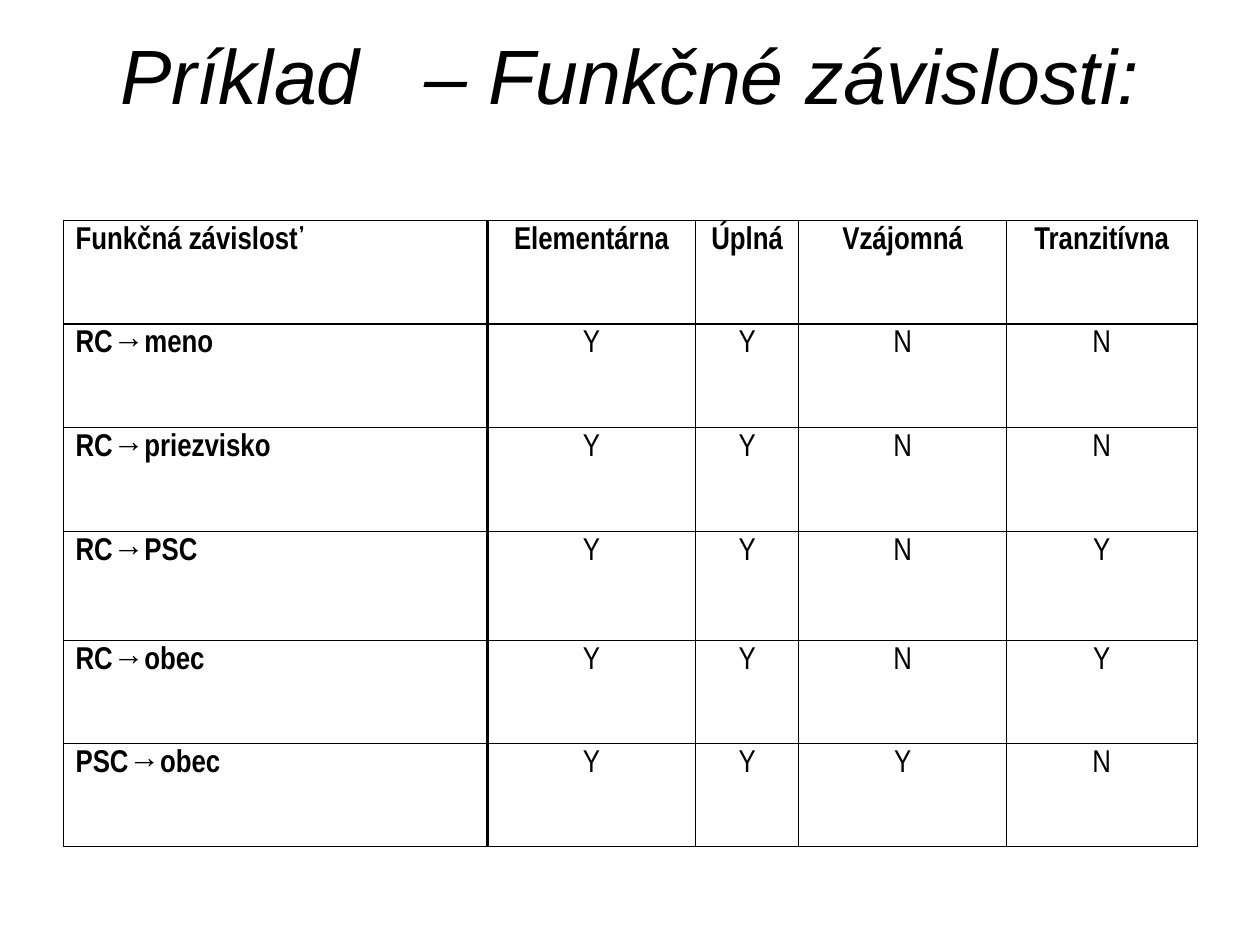
from typing import NamedTuple

import pptx
import pptx.dml.color
import pptx.enum.text
import pptx.oxml.ns
import pptx.util
from lxml import etree

Inches = pptx.util.Inches
Pt = pptx.util.Pt
Align = pptx.enum.text.PP_ALIGN
BLACK = pptx.dml.color.RGBColor(0, 0, 0)
WHITE = pptx.dml.color.RGBColor(255, 255, 255)
THIN, THICK = Pt(0.45), Pt(1.47)


class Row(NamedTuple):
    name: str
    marks: list[str]
    height: float = 0.82


HEAD = Row("Funkčná závislosť", ["Elementárna", "Úplná", "Vzájomná", "Tranzitívna"])
ROWS = [
    HEAD,
    Row("RC→meno", list("YYNN")),
    Row("RC→priezvisko", list("YYNN"), 0.83),
    Row("RC→PSC", list("YYNY"), 0.86),
    Row("RC→obec", list("YYNY")),
    Row("PSC→obec", list("YYYN")),
]
WIDTHS = [3.37, 1.65, 0.82, 1.65, 1.51]


def add_run(para, text: str, face: str, size: float, bold=False, italic=False):
    run = para.add_run()
    run.text = text
    font = run.font
    font.name, font.size = face, Pt(size)
    font.bold, font.italic = bold, italic
    font.color.rgb = BLACK
    return run


def add_edge(cell, side: str, width: int) -> None:
    qn = pptx.oxml.ns.qn
    props = cell._tc.get_or_add_tcPr()
    line = etree.SubElement(props, qn(f"a:ln{side}"), w=str(int(width)))
    fill = etree.SubElement(line, qn("a:solidFill"))
    etree.SubElement(fill, qn("a:srgbClr"), val=str(BLACK))


def fill_cell(cell, text: str, row: int, col: int) -> None:
    # Thick rules part the header row and the name column from the marks
    edges = {"L": col == 1, "R": col == 0, "T": row == 1, "B": row == 0}
    for side, heavy in edges.items():
        add_edge(cell, side, THICK if heavy else THIN)
    cell.fill.background()
    cell.margin_left = cell.margin_right = Inches(0.1)
    cell.margin_top = cell.margin_bottom = Inches(0.05)
    para = cell.text_frame.paragraphs[0]
    para.alignment = Align.CENTER if col else Align.LEFT
    add_run(para, text, "Arial Narrow", 18, bold=row == 0 or col == 0)


def add_title(slide) -> None:
    box = slide.shapes.add_textbox(Inches(0.5), Inches(0.22), Inches(9), Inches(1.25))
    frame = box.text_frame
    frame.word_wrap = True
    frame.vertical_anchor = pptx.enum.text.MSO_ANCHOR.TOP
    frame.margin_top = frame.margin_bottom = 0
    para = frame.paragraphs[0]
    para.alignment = Align.CENTER
    add_run(para, "Príklad", "Arial", 44, italic=True)
    # One space, widened by letter spacing (hundredths of a point)
    gap = add_run(para, " ", "Arial", 44, italic=True)
    gap.font._element.set("spc", "2450")
    add_run(para, "– Funkčné závislosti:", "Arial", 44, italic=True)


def add_grid(slide) -> None:
    high = sum(row.height for row in ROWS)
    frame = slide.shapes.add_table(
        len(ROWS), len(WIDTHS), Inches(0.5), Inches(1.75),
        Inches(sum(WIDTHS)), Inches(high))
    table = frame.table
    table.horz_banding = False
    for col, width in enumerate(WIDTHS):
        table.columns[col].width = Inches(width)
    for num, row in enumerate(ROWS):
        table.rows[num].height = Inches(row.height)
        for col, text in enumerate([row.name, *row.marks]):
            fill_cell(table.cell(num, col), text, num, col)


def main() -> None:
    deck = pptx.Presentation()
    deck.slide_width, deck.slide_height = Inches(10), Inches(7.5)
    slide = deck.slides.add_slide(deck.slide_layouts[6])
    back = slide.background.fill
    back.solid()
    back.fore_color.rgb = WHITE
    add_title(slide)
    add_grid(slide)
    deck.save("out.pptx")


if __name__ == "__main__":
    main()
